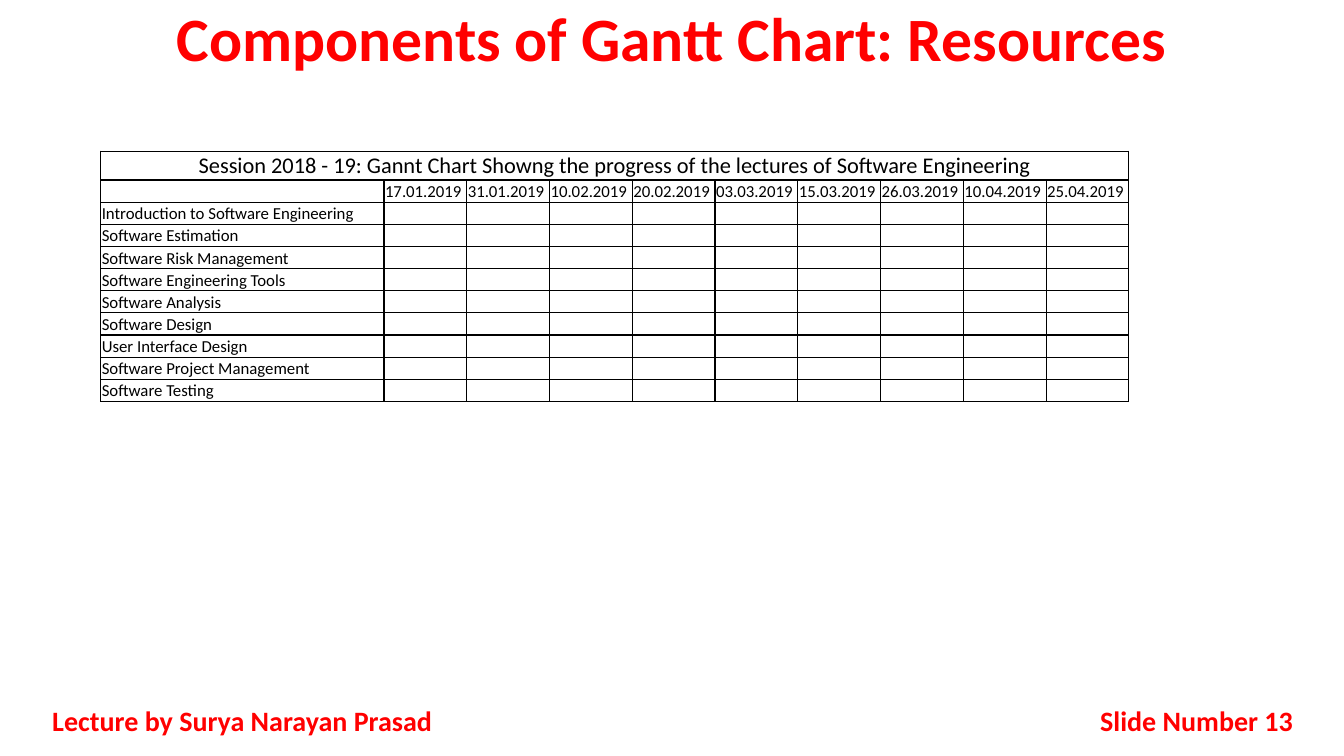
from lxml import etree
from pptx import Presentation, util as u
from pptx.dml.color import RGBColor
from pptx.enum import text
from pptx.oxml import ns

COLORS = {"accent": "FF0000", "ink": "000000"}
FONT = "Calibri"
ALIGN, ANCHOR = text.PP_ALIGN, text.MSO_ANCHOR

SESSION = ("Session 2018 - 19: Gannt Chart Showng the progress of "
           "the lectures of Software Engineering")
DATES = ["17.01.2019", "31.01.2019", "10.02.2019", "20.02.2019", "03.03.2019",
         "15.03.2019", "26.03.2019", "10.04.2019", "25.04.2019"]
TOPICS = ["Introduction to Software Engineering", "Software Estimation",
          "Software Risk Management", "Software Engineering Tools",
          "Software Analysis", "Software Design", "User Interface Design",
          "Software Project Management", "Software Testing"]

prs = Presentation()
prs.slide_width, prs.slide_height = u.Inches(13.33), u.Inches(7.5)


def share(x, y, w, h):
    """Turn percentages of the slide's size into a box."""
    W, H = prs.slide_width, prs.slide_height
    return [int(v * side / 100) for v, side in ((x, W), (y, H), (w, W), (h, H))]


def style(p, size, color, bold=False, align=None):
    p.font.name, p.font.size, p.font.bold = FONT, u.Pt(size), bold
    p.font.color.rgb = RGBColor.from_string(COLORS[color])
    p.alignment = align


def add_label(s, box, words, size, align, spacing=None):
    tf = s.shapes.add_textbox(*box).text_frame
    tf.word_wrap, tf.vertical_anchor = True, ANCHOR.MIDDLE
    p = tf.paragraphs[0]
    p.text, p.line_spacing = words, spacing
    style(p, size, "accent", True, align)


def add_borders(cell):
    tcPr = cell._tc.get_or_add_tcPr()
    for i, side in enumerate(("lnL", "lnR", "lnT", "lnB")):
        ln = etree.Element(ns.qn(f"a:{side}"), w=str(u.Pt(1)))
        fill = etree.SubElement(ln, ns.qn("a:solidFill"))
        etree.SubElement(fill, ns.qn("a:srgbClr"), val=COLORS["ink"])
        tcPr.insert(i, ln)


def add_schedule(s, box):
    rows = [[SESSION], ["", *DATES]] + [[topic] for topic in TOPICS]
    n_cols = len(DATES) + 1
    table = s.shapes.add_table(len(rows), n_cols, *box).table
    table.first_row = table.horz_banding = False

    # Grid: the topic column and the session row are larger
    width, height = box[2:]
    date_width, row_height = int(width * 0.0805), int(height * 0.0885)
    for col in table.columns:
        col.width = date_width
    table.columns[0].width = width - date_width * len(DATES)
    for row in table.rows:
        row.height = row_height
    table.rows[0].height = height - row_height * (len(rows) - 1)

    # Cells
    for r, values in enumerate(rows):
        for c in range(n_cols):
            cell = table.cell(r, c)
            cell.fill.background()
            add_borders(cell)
            cell.margin_left = cell.margin_right = cell.margin_top = u.Inches(0.01)
            cell.margin_bottom = 0
            cell.vertical_anchor = ANCHOR.BOTTOM
            p = cell.text_frame.paragraphs[0]
            if c < len(values) and values[c]:
                p.text = values[c]
            style(p, 12 if r else 16, "ink", align=None if r else ALIGN.CENTER)
    table.cell(0, 0).merge(table.cell(0, n_cols - 1))


def add_footer(s, box):
    x, y, w, h = box
    left, right = int(w * 0.334), int(w * 0.22)
    add_label(s, (x, y, left, h), "Lecture by Surya Narayan Prasad", 20, ALIGN.JUSTIFY)
    add_label(s, (x + w - right, y, right, h), "Slide Number 13", 20, ALIGN.RIGHT)


s = prs.slides.add_slide(prs.slide_layouts[6])
add_label(s, share(0, 0, 100, 11.1), "Components of Gantt Chart: Resources",
          44, ALIGN.CENTER, 0.9)
add_footer(s, share(3.15, 92.67, 93.8, 5.33))
add_schedule(s, share(7.5, 20, 76.5, 33.1))
prs.save("out.pptx")
